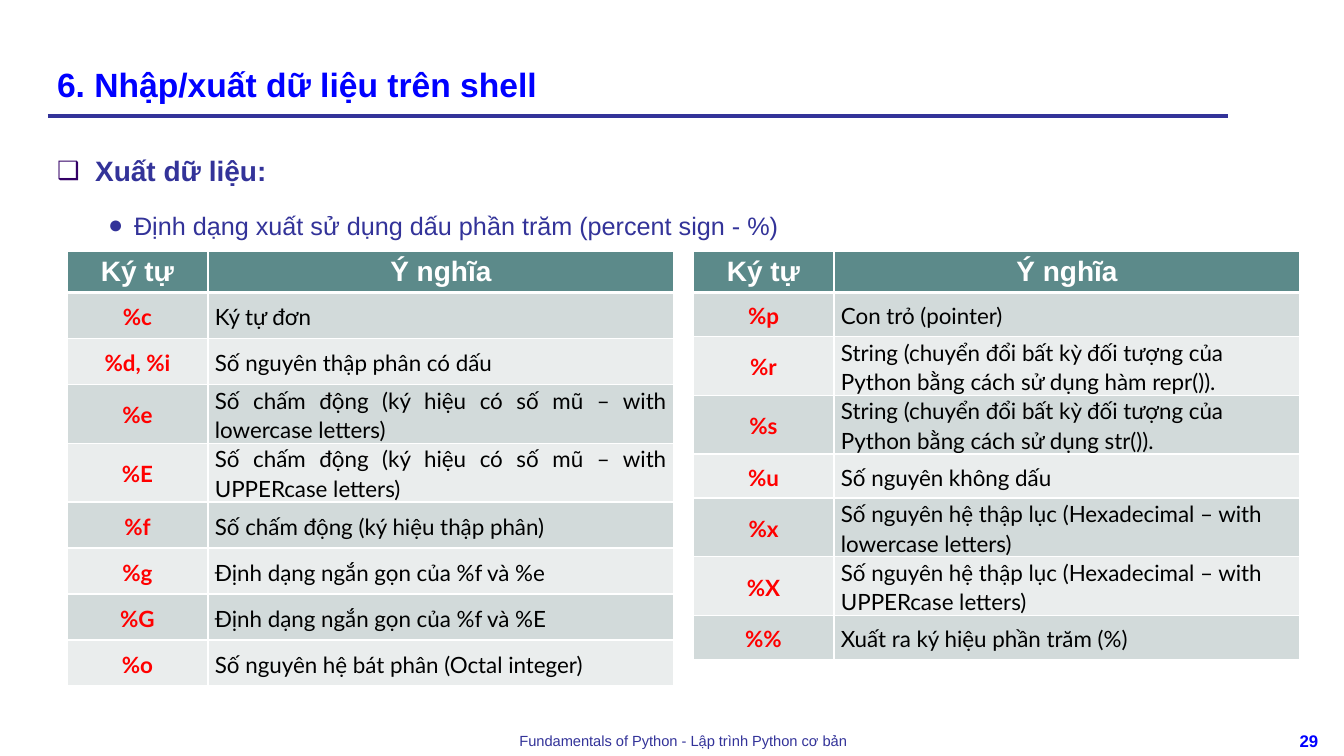
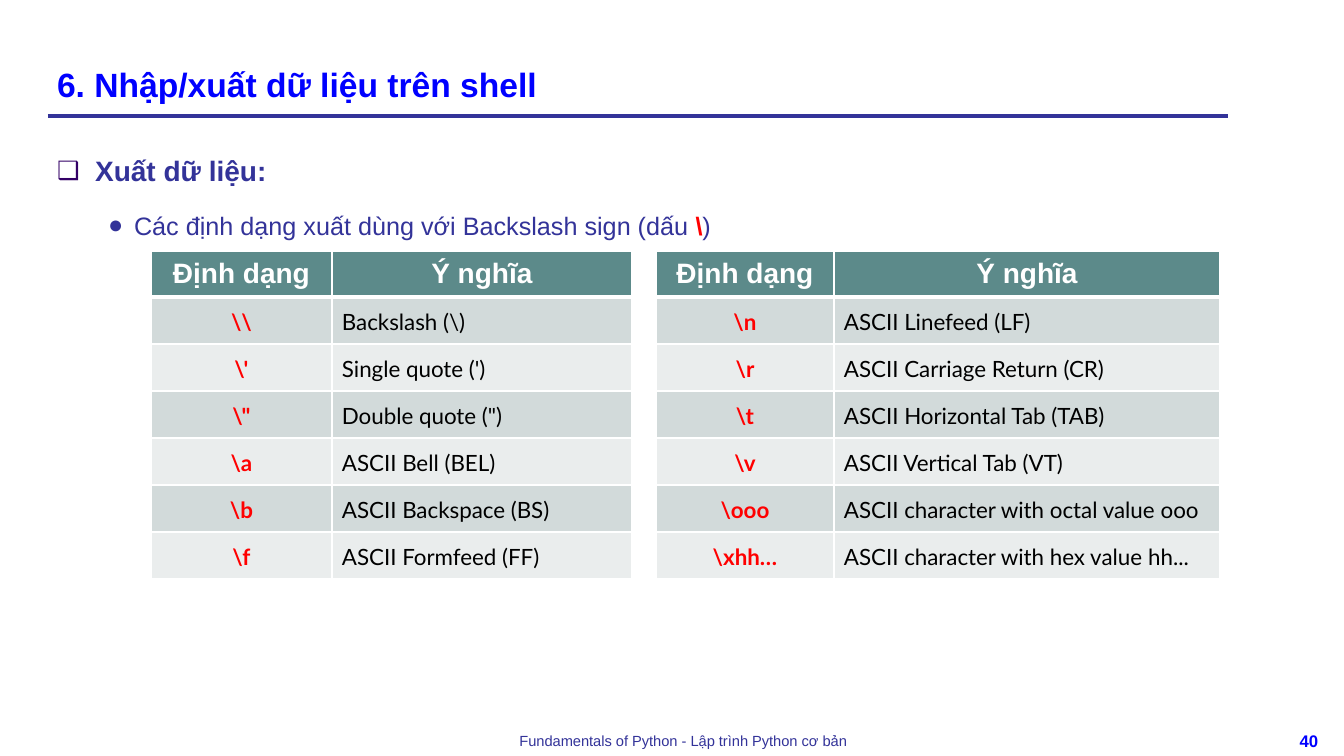
"""Build two slides on formatted output in the Python shell."""
import pptx
import pptx.util
import pptx.dml.color
import pptx.enum.shapes
import pptx.enum.text
import pptx.oxml
import pptx.oxml.ns

TITLE = "6. Nhập/xuất dữ liệu trên shell"
HEADING = "Xuất dữ liệu:"
FOOTER = "Fundamentals of Python - Lập trình Python cơ bản"

PERCENT_LEFT = [
    ("Ký tự", "Ý nghĩa"),
    ("%c", "Ký tự đơn"),
    ("%d, %i", "Số nguyên thập phân có dấu"),
    ("%e", "Số chấm động (ký hiệu có số mũ – with lowercase letters)"),
    ("%E", "Số chấm động (ký hiệu có số mũ – with UPPERcase letters)"),
    ("%f", "Số chấm động (ký hiệu thập phân)"),
    ("%g", "Định dạng ngắn gọn của %f và %e"),
    ("%G", "Định dạng ngắn gọn của %f và %E"),
    ("%o", "Số nguyên hệ bát phân (Octal integer)"),
]
PERCENT_RIGHT = [
    ("Ký tự", "Ý nghĩa"),
    ("%p", "Con trỏ (pointer)"),
    ("%r", "String (chuyển đổi bất kỳ đối tượng của Python bằng cách sử dụng hàm repr())."),
    ("%s", "String (chuyển đổi bất kỳ đối tượng của Python bằng cách sử dụng str())."),
    ("%u", "Số nguyên không dấu"),
    ("%x", "Số nguyên hệ thập lục (Hexadecimal – with lowercase letters)"),
    ("%X", "Số nguyên hệ thập lục (Hexadecimal – with UPPERcase letters)"),
    ("%%", "Xuất ra ký hiệu phần trăm (%)"),
]
ESCAPE_LEFT = [
    ("Định dạng", "Ý nghĩa"),
    (r"\\", r"Backslash (\)"),
    (r"\'", "Single quote (')"),
    (r'\"', 'Double quote (")'),
    (r"\a", "ASCII Bell (BEL)"),
    (r"\b", "ASCII Backspace (BS)"),
    (r"\f", "ASCII Formfeed (FF)"),
]
ESCAPE_RIGHT = [
    ("Định dạng", "Ý nghĩa"),
    (r"\n", "ASCII Linefeed (LF)"),
    (r"\r", "ASCII Carriage Return (CR)"),
    (r"\t", "ASCII Horizontal Tab (TAB)"),
    (r"\v", "ASCII Vertical Tab (VT)"),
    (r"\ooo", "ASCII character with octal value\u00a0ooo"),
    (r"\xhh…", "ASCII character with hex value\u00a0hh..."),
]

SLIDES = [
    {"number": "29",
     "lead": [("Định dạng xuất sử dụng dấu phần trăm (percent sign - %)", "navy", False)],
     "tables": [
         {"rows": PERCENT_LEFT, "left": 67, "columns": (141, 466), "header": 39,
          "row": 46, "inset": 7, "align": "JUSTIFY"},
         {"rows": PERCENT_RIGHT, "left": 693, "columns": (141, 466), "header": 39,
          "row": 44, "inset": 7, "align": "LEFT"}]},
    {"number": "40",
     "lead": [("Các định dạng xuất dùng với Backslash sign (dấu ", "navy", False),
              ("\\", "red", True), (")", "navy", False)],
     "tables": [
         {"rows": ESCAPE_LEFT, "left": 151, "columns": (181, 300), "header": 46,
          "row": 47, "inset": 10, "align": "JUSTIFY"},
         {"rows": ESCAPE_RIGHT, "left": 656, "columns": (178, 386), "header": 46,
          "row": 47, "inset": 10, "align": "JUSTIFY"}]},
]

COLORS = {"navy": "333399", "blue": "0000FF", "purple": "330066", "red": "FF0000",
          "black": "000000", "white": "FFFFFF", "header": "5C8A8A",
          "odd": "D2DADA", "even": "EAEDED"}
TABLE_TOP, TALL_ROW, ONE_LINE = 251, 54, 45
Pt = pptx.util.Pt
ALIGN = pptx.enum.text.PP_ALIGN
ANCHOR = pptx.enum.text.MSO_ANCHOR
NS = pptx.oxml.ns.nsdecls("a")


def px(length):
    return pptx.util.Emu(round(length * 914400 / 100.8))


def rgb(name):
    return pptx.dml.color.RGBColor.from_string(COLORS[name])


def style(run, size, color, bold=False, face="Arial"):
    run.font.size, run.font.bold, run.font.name = Pt(size), bold, face
    run.font.color.rgb = rgb(color)


def place(shape, left, top, width, height):
    shape.left, shape.top, shape.width, shape.height = map(px, (left, top, width, height))
    shape.text_frame.word_wrap = True
    shape.text_frame.auto_size = pptx.enum.text.MSO_AUTO_SIZE.NONE


def add_bullet(paragraph, mark, color, percent, margin, hang, before):
    paragraph.line_spacing, paragraph.space_before = 1.5, Pt(before)
    props = paragraph._p.get_or_add_pPr()
    props.set("marL", str(px(margin)))
    props.set("indent", str(-px(hang)))
    for xml in (f'<a:buClr {NS}><a:srgbClr val="{COLORS[color]}"/></a:buClr>',
                f'<a:buSzPct {NS} val="{percent * 1000}"/>',
                f'<a:buChar {NS} char="{mark}"/>'):
        props.append(pptx.oxml.parse_xml(xml))


def add_borders(cell, bottom):
    props = cell._tc.get_or_add_tcPr()
    for index, side in enumerate("LRTB"):
        width = Pt(bottom if side == "B" else 1)
        props.insert(index, pptx.oxml.parse_xml(
            f'<a:ln{side} {NS} w="{width}"><a:solidFill><a:srgbClr val="{COLORS["white"]}"/>'
            f'</a:solidFill></a:ln{side}>'))


def fill_cell(cell, text, row, column, table):
    cell.text = text
    paragraph = cell.text_frame.paragraphs[0]
    paragraph.alignment = ALIGN.CENTER
    cell.vertical_anchor = ANCHOR.MIDDLE
    cell.fill.solid()
    if row == 0:
        cell.fill.fore_color.rgb = rgb("header")
        style(paragraph.runs[0], 20, "white", True)
    else:
        cell.fill.fore_color.rgb = rgb("odd" if row % 2 else "even")
        cell.margin_left = px(table["inset"] if column else 7)
        cell.margin_right, cell.margin_top, cell.margin_bottom = px(7), 0, 0
        paragraph.line_spacing, paragraph.space_before = 1.1, Pt(6)
        if column:
            paragraph.alignment = ALIGN[table["align"]]
        style(paragraph.runs[0], 16, "black" if column else "red", not column, "Lato")
    add_borders(cell, 1 if row else 3)


def add_code_table(slide, table):
    rows, columns = table["rows"], table["columns"]
    heights = [table["header"]] + [TALL_ROW if len(meaning) > ONE_LINE else table["row"]
                                   for _, meaning in rows[1:]]
    grid = slide.shapes.add_table(len(rows), len(columns), px(table["left"]), px(TABLE_TOP),
                                  px(sum(columns)), px(sum(heights))).table
    for column, width in enumerate(columns):
        grid.columns[column].width = px(width)
    for row, (texts, height) in enumerate(zip(rows, heights)):
        grid.rows[row].height = px(height)
        for column, text in enumerate(texts):
            fill_cell(grid.cell(row, column), text, row, column, table)


def add_caption(slide, text, bounds, size, color, bold):
    caption = slide.shapes.add_textbox(0, 0, 0, 0)
    place(caption, *bounds)
    caption.text_frame.text = text
    paragraph = caption.text_frame.paragraphs[0]
    paragraph.alignment = ALIGN.CENTER
    style(paragraph.runs[0], size, color, bold)


def add_frame(slide, number):
    rule = slide.shapes.add_connector(pptx.enum.shapes.MSO_CONNECTOR.STRAIGHT,
                                      px(48), px(116), px(1228), px(116))
    rule.line.color.rgb, rule.line.width = rgb("navy"), Pt(3)
    rule._element.spPr.append(pptx.oxml.parse_xml(f"<a:effectLst {NS}/>"))
    add_caption(slide, FOOTER, (325, 727, 717, 29), 10.5, "navy", False)
    add_caption(slide, number, (1277, 726, 64, 30), 12, "blue", True)

    title = slide.shapes.title
    place(title, 47, 21, 1164, 88)
    title.text_frame.text = TITLE
    title.text_frame.vertical_anchor = ANCHOR.BOTTOM
    heading = title.text_frame.paragraphs[0]
    heading.alignment = ALIGN.LEFT
    style(heading.runs[0], 24, "blue", True)


def add_outline(slide, lead):
    outline = slide.placeholders[1]
    place(outline, 47, 132, 1164, 572)
    outline.text_frame.text = HEADING
    heading = outline.text_frame.paragraphs[0]
    style(heading.runs[0], 20, "navy", True)
    add_bullet(heading, "❑", "purple", 90, 38, 38, 30)
    detail = outline.text_frame.add_paragraph()
    detail.level = 1
    for text, color, bold in lead:
        run = detail.add_run()
        run.text = text
        style(run, 18, color, bold)
    add_bullet(detail, "●", "navy", 100, 77, 26, 5.4)


deck = pptx.Presentation()
deck.slide_width, deck.slide_height = px(1344), px(756)
for content in SLIDES:
    slide = deck.slides.add_slide(deck.slide_layouts[1])
    add_frame(slide, content["number"])
    add_outline(slide, content["lead"])
    for table in content["tables"]:
        add_code_table(slide, table)
deck.save("out.pptx")
